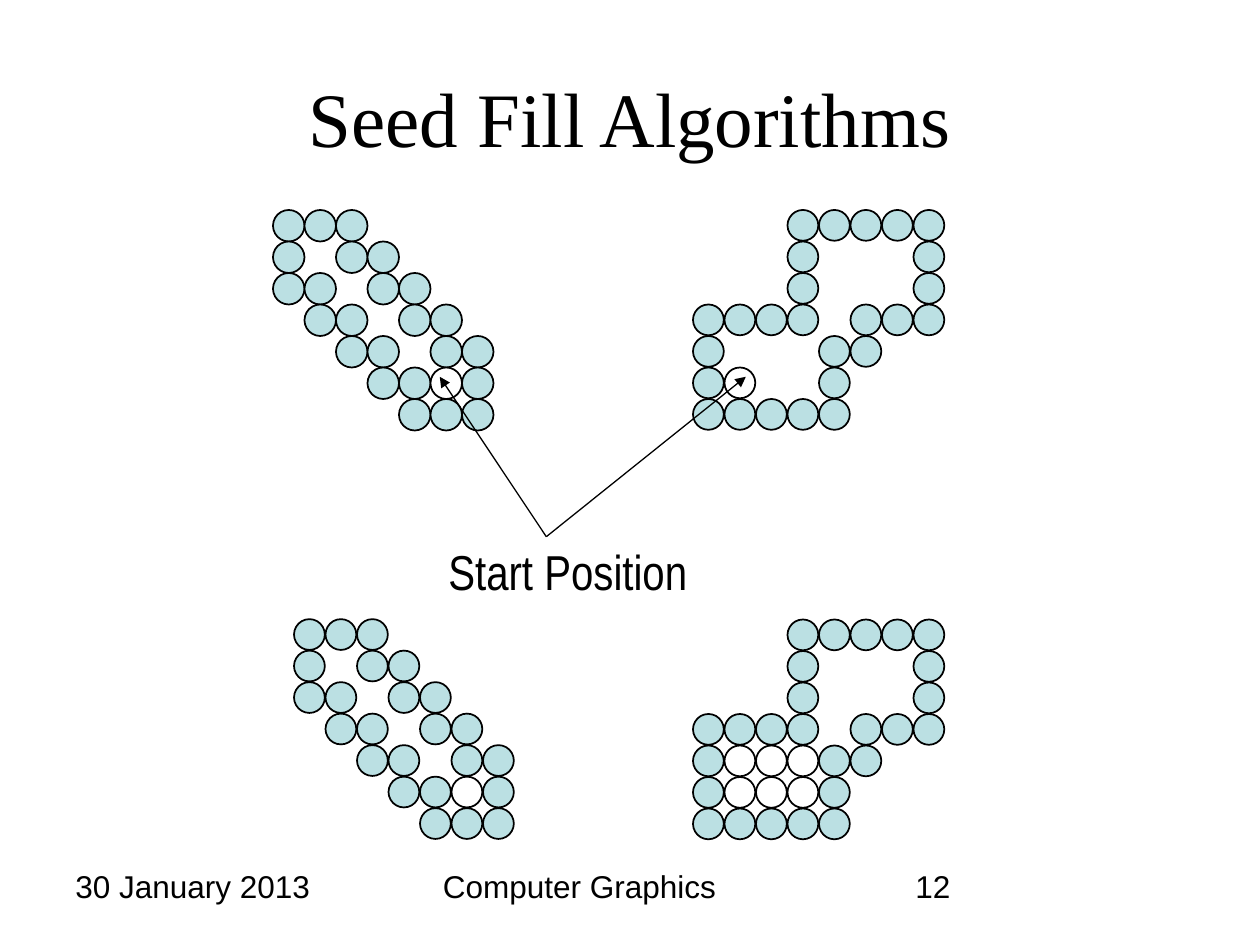
from lxml import etree
from pptx import Presentation
from pptx.dml.color import RGBColor
from pptx.enum.shapes import MSO_CONNECTOR, MSO_SHAPE
from pptx.enum.text import MSO_ANCHOR, PP_ALIGN
from pptx.oxml.ns import qn
from pptx.util import Pt

ELLIPSE = MSO_SHAPE.OVAL
STRAIGHT = MSO_CONNECTOR.STRAIGHT
TOP, MIDDLE = MSO_ANCHOR.TOP, MSO_ANCHOR.MIDDLE
LEFT, CENTER = PP_ALIGN.LEFT, PP_ALIGN.CENTER

COLORS = {"ink": "000000", "boundary": "BBE0E3", "seed": "FFFFFF"}
PIXELS = {"#": "boundary", "o": "seed"}
PITCH = 18

DIAGONAL = [
    "###",
    "#.##",
    "##.##",
    ".##.##",
    "..##.##",
    "...##o#",
    "....###",
]
ROOMS_TOP = [
    "...#####",
    "...#...#",
    "...#...#",
    "####.###",
]
ROOMS_START = ROOMS_TOP + ["#...##", "#o..#", "#####"]
ROOMS_FILLED = ROOMS_TOP + ["#ooo##", "#ooo#", "#####"]

REGIONS = [
    (DIAGONAL, 156, 120, 18),
    (DIAGONAL, 168, 353.8, 17.6),
    (ROOMS_START, 396, 120, 17.6),
    (ROOMS_FILLED, 396, 354, 17.6),
]
FOOTERS = [
    ("30 January 2013", 36, 168),
    ("Computer Graphics", 246, 228),
    ("12", 516, 168),
]
SEED_TARGETS = [(251.3, 215.3), (426.2, 215.3)]


class SlideBuilder:
    def __init__(self, slide):
        self.slide = slide

    def color(self, name):
        return RGBColor.from_string(COLORS[name])

    def text(self, words, left, top, width, height, size, font, align=LEFT, anchor=TOP):
        box = self.slide.shapes.add_textbox(Pt(left), Pt(top), Pt(width), Pt(height))
        frame = box.text_frame
        frame.word_wrap = True
        frame.vertical_anchor = anchor
        para = frame.paragraphs[0]
        para.text = words
        para.alignment = align
        para.font.size = Pt(size)
        para.font.name = font
        para.font.color.rgb = self.color("ink")

    def pixel(self, group, left, top, diameter, fill):
        circle = group.shapes.add_shape(ELLIPSE, Pt(left), Pt(top), Pt(diameter), Pt(diameter))
        circle.shadow.inherit = False
        circle.fill.solid()
        circle.fill.fore_color.rgb = self.color(fill)
        circle.line.color.rgb = self.color("ink")
        circle.line.width = Pt(1)

    def region(self, rows, left, top, diameter):
        group = self.slide.shapes.add_group_shape()
        for row, marks in enumerate(rows):
            for column, mark in enumerate(marks):
                if mark in PIXELS:
                    self.pixel(group, left + column * PITCH, top + row * PITCH,
                               diameter, PIXELS[mark])

    def arrow(self, start, end):
        points = [Pt(value) for value in (*start, *end)]
        arrow = self.slide.shapes.add_connector(STRAIGHT, *points)
        arrow.line.color.rgb = self.color("ink")
        arrow.line.width = Pt(0.75)
        outline = arrow.line._get_or_add_ln()
        etree.SubElement(outline, qn("a:tailEnd"), type="triangle")
        etree.SubElement(outline.getparent(), qn("a:effectLst"))


def main():
    deck = Presentation()
    deck.slide_width, deck.slide_height = Pt(720), Pt(540)
    builder = SlideBuilder(deck.slides.add_slide(deck.slide_layouts[6]))

    builder.text("Seed Fill Algorithms", 36, 21.6, 648, 90, 44, "Times New Roman",
                 align=CENTER, anchor=MIDDLE)
    for region in REGIONS:
        builder.region(*region)
    builder.text("Start Position", 244.4, 306, 160, 41, 28, "Arial Narrow",
                 align=CENTER, anchor=MIDDLE)
    for target in SEED_TARGETS:
        builder.arrow((312.2, 306.7), target)
    for words, left, width in FOOTERS:
        builder.text(words, left, 491.8, width, 36.7, 18, "Arial")

    deck.save("out.pptx")


if __name__ == "__main__":
    main()
